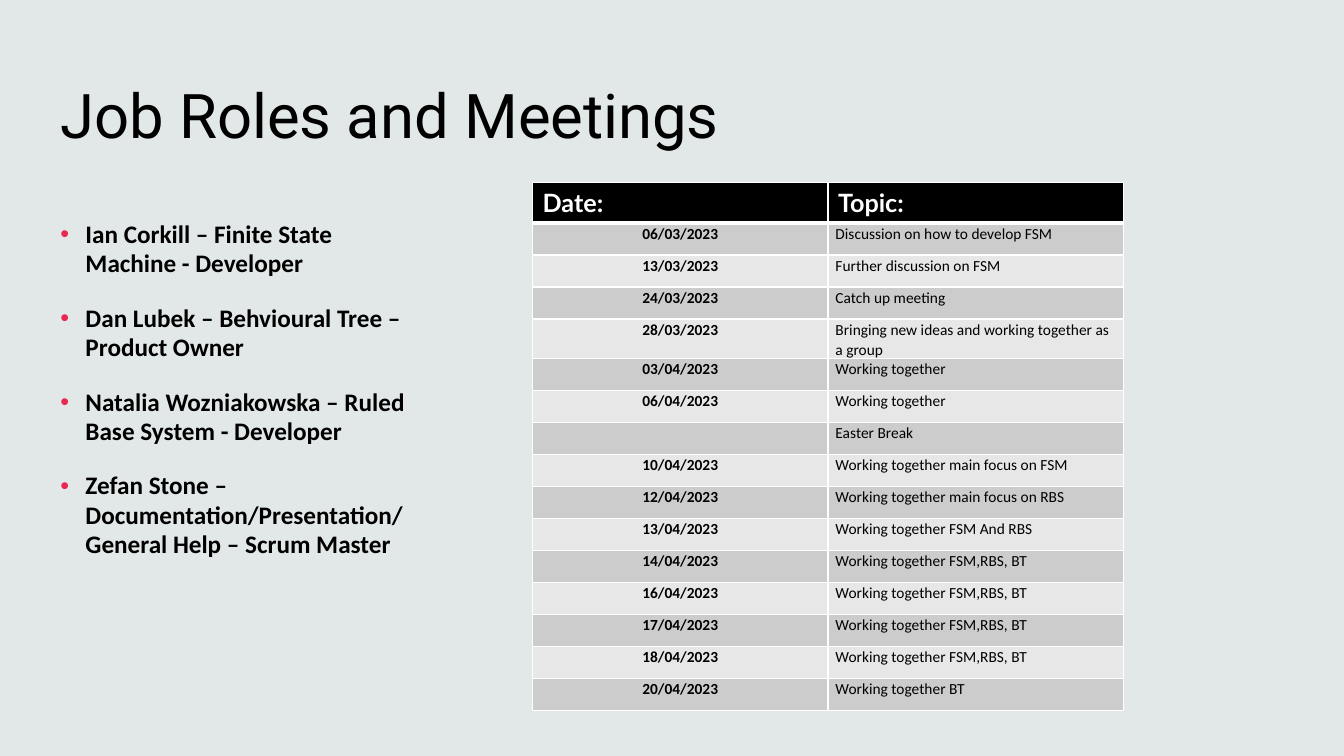
from dataclasses import dataclass

from lxml.etree import SubElement
from pptx import Presentation
from pptx.dml.color import RGBColor as Rgb
from pptx.enum.text import MSO_ANCHOR as Anchor, PP_ALIGN as Align
from pptx.oxml.ns import qn
from pptx.util import Pt


@dataclass(frozen=True)
class Theme:
    """Colours, fonts and type sizes of the slide."""
    background: str = "E2E8E8"
    ink: str = "000000"
    paper: str = "FFFFFF"
    accent: str = "E72950"
    bands: tuple = ("CCCCCC", "E7E7E7")
    title_font: str = "Roboto"
    header_font: str = "Lato"
    body_font: str = "Calibri"
    title_size: int = 44
    body_size: int = 18
    table_size: int = 11


THEME = Theme()
ROLES = [
    "Ian Corkill – Finite State Machine - Developer",
    "Dan Lubek – Behvioural Tree – Product Owner",
    "Natalia Wozniakowska – Ruled Base System - Developer",
    "Zefan Stone – Documentation/Presentation/General Help – Scrum Master",
]
HEADINGS = ("Date:", "Topic:")
MEETINGS = [
    ("06/03/2023", "Discussion on how to develop FSM"),
    ("13/03/2023", "Further discussion on FSM"),
    ("24/03/2023", "Catch up meeting"),
    ("28/03/2023", "Bringing new ideas and working together as a group"),
    ("03/04/2023", "Working together"),
    ("06/04/2023", "Working together"),
    ("", "Easter Break"),
    ("10/04/2023", "Working together main focus on FSM"),
    ("12/04/2023", "Working together main focus on RBS"),
    ("13/04/2023", "Working together FSM And RBS"),
    ("14/04/2023", "Working together FSM,RBS, BT"),
    ("16/04/2023", "Working together FSM,RBS, BT"),
    ("17/04/2023", "Working together FSM,RBS, BT"),
    ("18/04/2023", "Working together FSM,RBS, BT"),
    ("20/04/2023", "Working together BT"),
]


def write(paragraph, text, *, font, size, color=THEME.ink, bold=False,
          align=Align.LEFT, spacing=None, before=0, after=0):
    """Put formatted text into a paragraph."""
    paragraph.alignment = align
    paragraph.line_spacing = spacing
    paragraph.space_before, paragraph.space_after = Pt(before), Pt(after)
    run = paragraph.add_run()
    run.text = text
    run.font.name, run.font.size, run.font.bold = font, Pt(size), bold
    run.font.color.rgb = Rgb.from_string(color)


class SlideBuilder:
    """Adds themed elements to the current slide."""

    def __init__(self, slide, theme):
        """Keep the slide and theme, and paint the background."""
        self.slide, self.theme = slide, theme
        slide.background.fill.solid()
        slide.background.fill.fore_color.rgb = Rgb.from_string(theme.background)

    def text_frame(self, left, top, width, height, anchor=Anchor.TOP):
        """Add a wrapping text box and return its frame."""
        box = self.slide.shapes.add_textbox(Pt(left), Pt(top), Pt(width), Pt(height))
        box.text_frame.word_wrap = True
        box.text_frame.vertical_anchor = anchor
        return box.text_frame

    def title(self, text, *place):
        """Add the slide title."""
        frame = self.text_frame(*place, anchor=Anchor.MIDDLE)
        write(frame.paragraphs[0], text, font=self.theme.title_font,
              size=self.theme.title_size)

    def bullets(self, items, *place):
        """Add a bulleted list."""
        frame = self.text_frame(*place)
        for index, item in enumerate(items):
            paragraph = frame.add_paragraph() if index else frame.paragraphs[0]
            write(paragraph, item, font=self.theme.body_font, bold=True,
                  size=self.theme.body_size, spacing=0.97, before=10, after=8)
            properties = paragraph._p.get_or_add_pPr()
            properties.set("marL", str(Pt(18)))
            properties.set("indent", str(-Pt(18)))
            color = SubElement(properties, qn("a:buClr"))
            SubElement(color, qn("a:srgbClr"), val=self.theme.accent)
            SubElement(properties, qn("a:buFont"), typeface="Arial")
            SubElement(properties, qn("a:buChar"), char="•")

    def style_cell(self, cell, fill, top=1, bottom=1):
        """Set the borders and fill of a cell."""
        properties = cell._tc.get_or_add_tcPr()
        for side, weight in (("L", 1), ("R", 1), ("T", top), ("B", bottom)):
            line = SubElement(properties, qn(f"a:ln{side}"), w=str(Pt(weight)))
            paint = SubElement(line, qn("a:solidFill"))
            SubElement(paint, qn("a:srgbClr"), val=self.theme.paper)
        cell.fill.solid()
        cell.fill.fore_color.rgb = Rgb.from_string(fill)

    def schedule(self, headings, meetings, left, top, width, header_height, row_height):
        """Add the banded table of meetings."""
        height = header_height + row_height * len(meetings)
        table = self.slide.shapes.add_table(
            len(meetings) + 1, len(headings), Pt(left), Pt(top), Pt(width), Pt(height)).table
        table.rows[0].height = Pt(header_height)
        for column, heading in enumerate(headings):
            cell = table.cell(0, column)
            self.style_cell(cell, self.theme.ink, bottom=3)
            write(cell.text_frame.paragraphs[0], heading, font=self.theme.header_font,
                  size=self.theme.body_size, color=self.theme.paper, bold=True)
        for row, meeting in enumerate(meetings, 1):
            table.rows[row].height = Pt(row_height)
            for column, text in enumerate(meeting):
                cell = table.cell(row, column)
                self.style_cell(cell, self.theme.bands[(row - 1) % 2],
                                top=3 if row == 1 else 1)
                cell.margin_left = cell.margin_right = Pt(5.4)
                cell.margin_top = cell.margin_bottom = 0
                is_date = column == 0
                write(cell.text_frame.paragraphs[0], text, font=self.theme.body_font,
                      size=self.theme.table_size, bold=is_date, spacing=1.07, after=8,
                      align=Align.CENTER if is_date else Align.LEFT)


def main():
    """Build and save the slide."""
    deck = Presentation()
    deck.slide_width, deck.slide_height = Pt(960), Pt(540)
    builder = SlideBuilder(deck.slides.add_slide(deck.slide_layouts[6]), THEME)
    builder.title("Job Roles and Meetings", 36, 29, 858, 104)
    builder.bullets(ROLES, 36, 153.5, 263, 273)
    builder.schedule(HEADINGS, MEETINGS, left=380.4, top=130.4, width=422,
                     header_height=26, row_height=22.9)
    deck.save("out.pptx")


if __name__ == "__main__":
    main()
